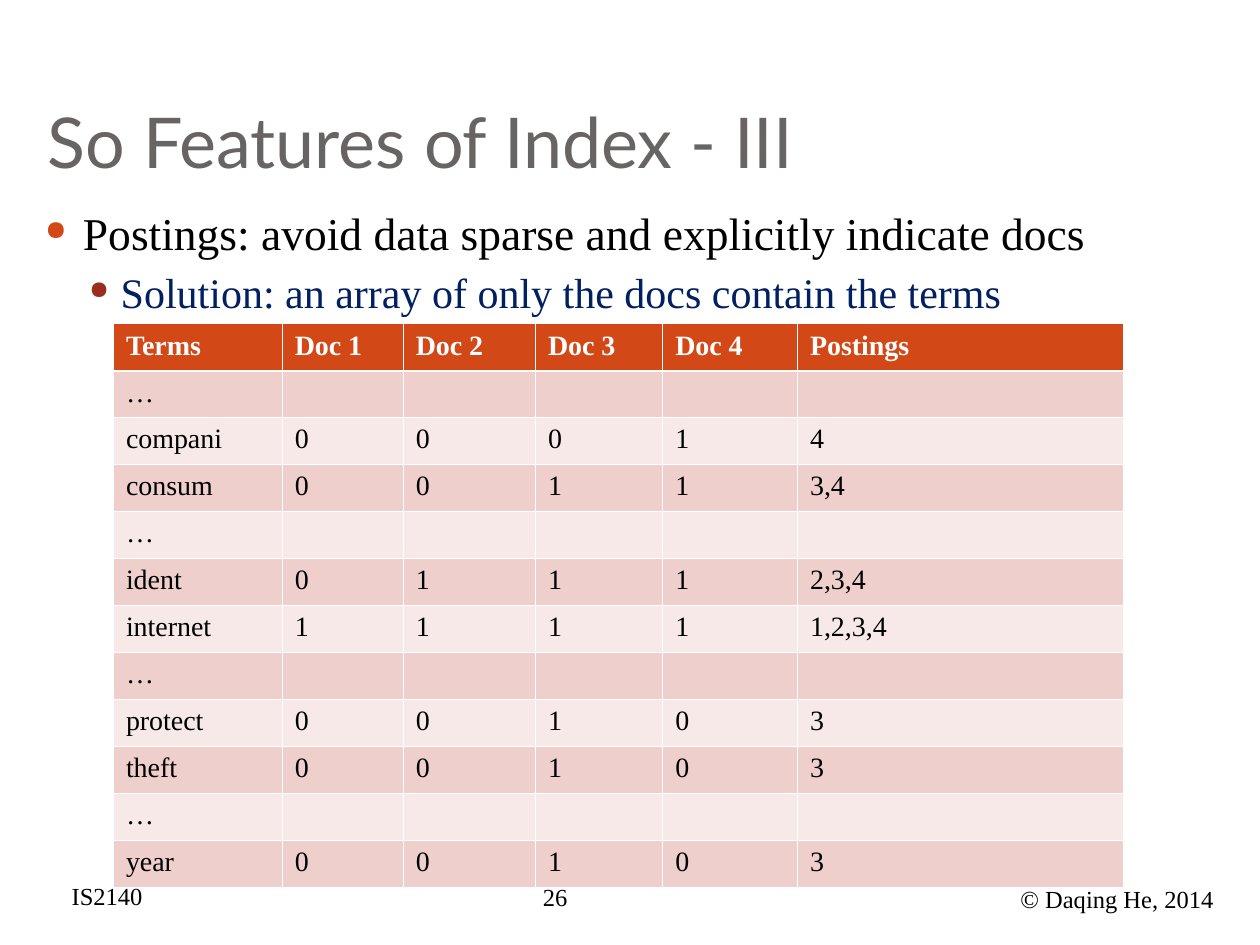
from lxml.etree import SubElement
from pptx import Presentation
from pptx.dml.color import RGBColor
from pptx.enum.text import MSO_ANCHOR, MSO_AUTO_SIZE, PP_ALIGN
from pptx.oxml.ns import qn
from pptx.util import Inches, Pt

WHITE = RGBColor(0xFF, 0xFF, 0xFF)
BLACK = RGBColor(0x00, 0x00, 0x00)
GREY = RGBColor(0x69, 0x64, 0x64)
NAVY = RGBColor(0x00, 0x20, 0x60)
ORANGE = RGBColor(0xD3, 0x48, 0x17)
BRICK = RGBColor(0x9B, 0x2D, 0x1F)
ROSE = RGBColor(0xEF, 0xCF, 0xCC)
BLUSH = RGBColor(0xF7, 0xE9, 0xE7)

HEADING_FONT = "Lato"
BODY_FONT = "Times New Roman"

COLUMN_WIDTHS = (1.34, 0.96, 1.05, 1.01, 1.07, 2.59)
TABLE_HEIGHT = 4.47
THIN, THICK = 0.45, 1.47
GAP = ("…", "", "", "", "", "")
INDEX_ROWS = (
    ("Terms", "Doc 1", "Doc 2", "Doc 3", "Doc 4", "Postings"),
    GAP,
    ("compani", "0", "0", "0", "1", "4"),
    ("consum", "0", "0", "1", "1", "3,4"),
    GAP,
    ("ident", "0", "1", "1", "1", "2,3,4"),
    ("internet", "1", "1", "1", "1", "1,2,3,4"),
    GAP,
    ("protect", "0", "0", "1", "0", "3"),
    ("theft", "0", "0", "1", "0", "3"),
    GAP,
    ("year", "0", "0", "1", "0", "3"),
)
# text, size, colour, bullet colour, indent, hanging, space before
POINTS = (
    ("Postings: avoid data sparse and explicitly indicate docs",
     26, BLACK, ORANGE, 0.3, 0.3, 0),
    ("Solution: an array of only the docs contain the terms",
     24, NAVY, BRICK, 0.6, 0.25, 3.7),
)
FOOTERS = (
    ("26", (4.21, 6.95, 1.17, 0.37)),
    ("IS2140", (0.47, 6.94, 0.81, 0.34)),
    ("© Daqing He, 2014", (8, 6.97, 1.92, 0.34)),
)


def style(paragraph, size, color, font=BODY_FONT, bold=False):
    paragraph.font.name = font
    paragraph.font.size = Pt(size)
    paragraph.font.bold = bold
    paragraph.font.color.rgb = color


def add_text_frame(slide, box):
    frame = slide.shapes.add_textbox(*map(Inches, box)).text_frame
    frame.word_wrap = True
    return frame


def add_bullet(paragraph, color, indent, hanging):
    props = paragraph._p.get_or_add_pPr()
    props.set("marL", str(Inches(indent)))
    props.set("indent", str(-Inches(hanging)))
    bullet_color = SubElement(props, qn("a:buClr"))
    SubElement(bullet_color, qn("a:srgbClr"), val=str(color))
    SubElement(props, qn("a:buSzPct"), val="60000")
    SubElement(props, qn("a:buChar"), char="●")


def set_borders(cell, top, bottom):
    props = cell._tc.get_or_add_tcPr()
    edges = (("lnL", THIN), ("lnR", THIN), ("lnT", top), ("lnB", bottom))
    for edge, width in edges:
        line = SubElement(props, qn(f"a:{edge}"), w=str(Pt(width)))
        fill = SubElement(line, qn("a:solidFill"))
        SubElement(fill, qn("a:srgbClr"), val=str(WHITE))


def place_title(slide, box):
    title = slide.shapes.title
    title.left, title.top, title.width, title.height = map(Inches, box)
    frame = title.text_frame
    frame.text = "So Features of Index - III"
    frame.auto_size = MSO_AUTO_SIZE.NONE
    frame.vertical_anchor = MSO_ANCHOR.BOTTOM
    frame.margin_bottom = Inches(0.1)
    heading = frame.paragraphs[0]
    heading.alignment = PP_ALIGN.LEFT
    style(heading, 40, GREY, HEADING_FONT)


def place_points(slide, box):
    frame = add_text_frame(slide, box)
    for number, point in enumerate(POINTS):
        text, size, color, bullet_color, indent, hanging, before = point
        paragraph = frame.add_paragraph() if number else frame.paragraphs[0]
        paragraph.text = text
        paragraph.level = number
        if before:
            paragraph.space_before = Pt(before)
        add_bullet(paragraph, bullet_color, indent, hanging)
        style(paragraph, size, color)


def fill_cell(cell, text, row):
    header = row == 0
    cell.text = text
    paragraph = cell.text_frame.paragraphs[0]
    style(paragraph, 16, WHITE if header else BLACK, bold=header)
    if not text:  # keeps empty cells from stretching their row
        SubElement(paragraph._p, qn("a:endParaRPr"), sz="1600")
    set_borders(cell, THICK if row == 1 else THIN, THICK if header else THIN)
    cell.fill.solid()
    cell.fill.fore_color.rgb = ORANGE if header else (BLUSH, ROSE)[row % 2]


def place_index_table(slide, left, top):
    box = (left, top, sum(COLUMN_WIDTHS), TABLE_HEIGHT)
    table = slide.shapes.add_table(
        len(INDEX_ROWS), len(COLUMN_WIDTHS), *map(Inches, box)
    ).table
    for column, width in zip(table.columns, COLUMN_WIDTHS):
        column.width = Inches(width)
    for row, entries in enumerate(INDEX_ROWS):
        table.rows[row].height = Inches(TABLE_HEIGHT / len(INDEX_ROWS))
        for column, text in enumerate(entries):
            fill_cell(table.cell(row, column), text, row)


def place_footers(slide):
    for text, box in FOOTERS:
        frame = add_text_frame(slide, box)
        frame.text = text
        style(frame.paragraphs[0], 14, BLACK)


def main():
    deck = Presentation()
    deck.slide_width, deck.slide_height = Inches(10), Inches(7.5)
    slide = deck.slides.add_slide(deck.slide_layouts[5])
    place_footers(slide)
    place_title(slide, (0.28, 0.3, 9.46, 1.25))
    place_points(slide, (0.26, 1.58, 9.49, 5))
    place_index_table(slide, 0.9, 2.57)
    deck.save("out.pptx")


if __name__ == "__main__":
    main()
